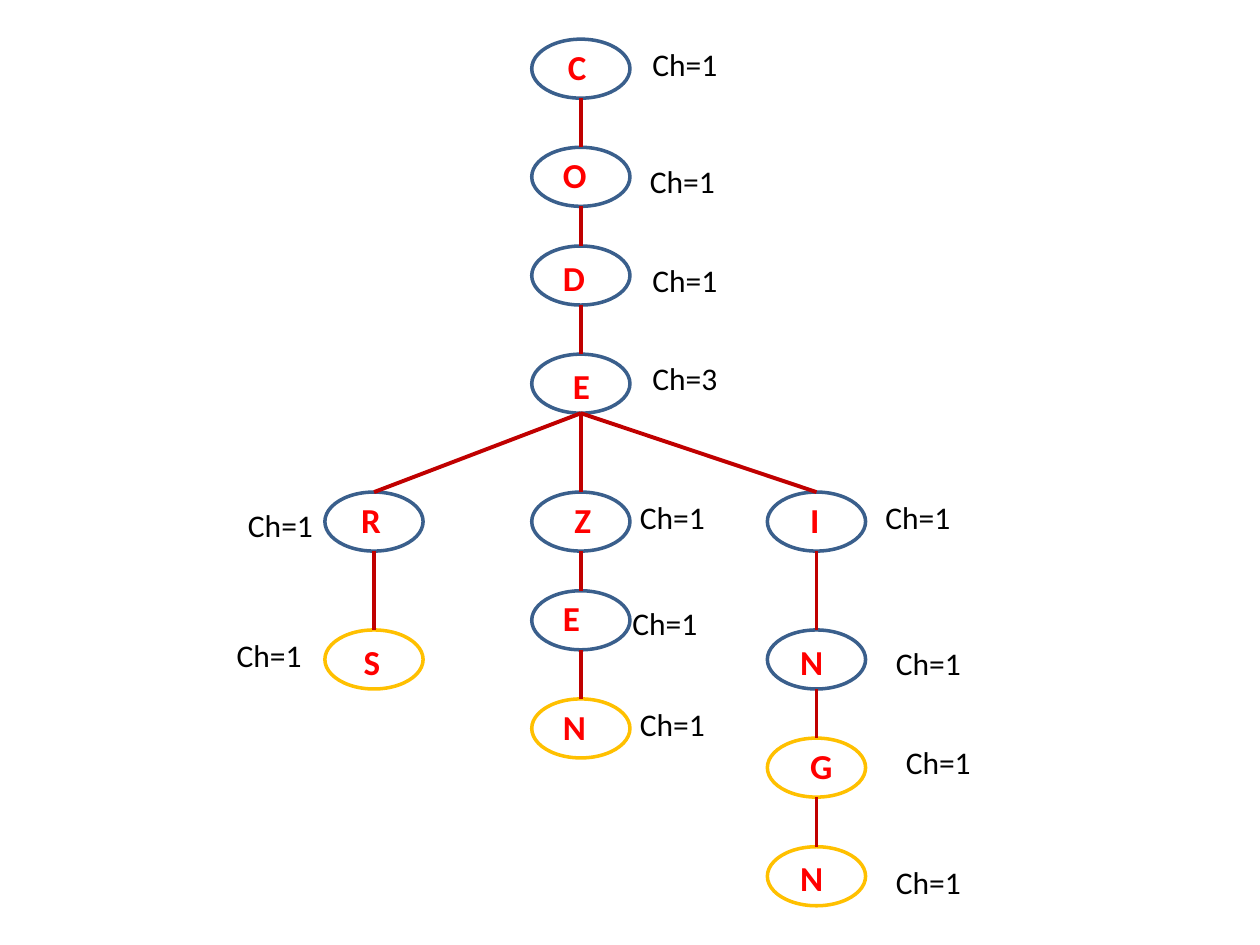
from lxml import etree
from pptx import Presentation
from pptx import util as u
from pptx.dml.color import RGBColor
from pptx.enum import shapes, text
from pptx.oxml.ns import qn

COLORS = {"node": "3A5F8C", "end": "FFC000", "edge": "C00000",
          "letter": "FF0000", "label": "000000"}
NODE_W, NODE_H = 1.98, 1.19
LEFT, MIDDLE, RIGHT = 6.55, 10.72, 15.47

# key: letter, parent, kind, x, y, letter (dx, dy, width), children, label (dx, dy)
NODES = {
    "c": ("C", None, "node", MIDDLE, 0.79, (0.48, 0, 0.89), 1, (2.18, 0)),
    "co": ("O", "c", "node", MIDDLE, 2.97, (0.38, 0, 0.99), 1, (2.13, 0.18)),
    "cod": ("D", "co", "node", MIDDLE, 4.96, (0.38, 0.08, 0.97), 1, (2.18, 0.18)),
    "code": ("E", "cod", "node", MIDDLE, 7.14, (0.58, 0.08, 0.86), 3, (2.18, -0.03)),
    "coder": ("R", "code", "node", LEFT, 9.92, (0.48, 0, 0.91), 1, (-1.8, 0.15)),
    "coders": ("S", "coder", "end", LEFT, 12.7, (0.53, 0.08, 0.86), 1, (-2.03, 0)),
    "codez": ("Z", "code", "node", MIDDLE, 9.92, (0.61, 0, 0.86), 1, (1.93, 0)),
    "codeze": ("E", "codez", "node", MIDDLE, 11.91, (0.38, 0, 0.86), 1, (1.78, 0.15)),
    "codezen": ("N", "codeze", "end", MIDDLE, 14.09, (0.38, 0, 0.99), 1, (1.93, 0)),
    "codei": ("I", "code", "node", RIGHT, 9.92, (0.61, 0, 0.71), 1, (2.13, 0)),
    "codein": ("N", "codei", "node", RIGHT, 12.7, (0.41, 0.08, 0.99), 1, (2.34, 0.15)),
    "codeing": ("G", "codein", "end", RIGHT, 14.88, (0.61, 0, 0.97), 1, (2.54, -0.03)),
    "codeingn": ("N", "codeing", "end", RIGHT, 17.07, (0.41, 0.08, 0.99), 1, (2.34, 0.2)),
}

prs = Presentation()
prs.slide_width, prs.slide_height = u.Cm(25.4), u.Cm(19.05)
s = prs.slides.add_slide(prs.slide_layouts[6])


def add_text(content, x, y, w, h, size, color, bold):
    tf = s.shapes.add_textbox(u.Cm(x), u.Cm(y), u.Cm(w), u.Cm(h)).text_frame
    tf.word_wrap = False
    tf.auto_size = text.MSO_AUTO_SIZE.SHAPE_TO_FIT_TEXT
    p = tf.paragraphs[0]
    p.text = content
    p.font.name = "Calibri"
    p.font.size = u.Pt(size)
    p.font.bold = bold
    p.font.color.rgb = RGBColor.from_string(COLORS[color])


for letter, parent, kind, x, y, (dx, dy, w), children, offset in NODES.values():
    sp = s.shapes.add_shape(shapes.MSO_SHAPE.OVAL, u.Cm(x), u.Cm(y),
                            u.Cm(NODE_W), u.Cm(NODE_H))
    sp.shadow.inherit = False
    sp.fill.background()
    sp.line.color.rgb = RGBColor.from_string(COLORS[kind])
    sp.line.width = u.Pt(2)
    add_text(letter, x + dx, y + dy, w, 1.12, 20, "letter", True)

for letter, parent, kind, x, y, place, children, offset in NODES.values():
    if parent:
        px, py = NODES[parent][3:5]
        line = s.shapes.add_connector(
            shapes.MSO_CONNECTOR.STRAIGHT,
            u.Cm(px + NODE_W / 2), u.Cm(py + NODE_H), u.Cm(x + NODE_W / 2), u.Cm(y))
        line.line.color.rgb = RGBColor.from_string(COLORS["edge"])
        line.line.width = u.Pt(2.25)
        etree.SubElement(line._element.spPr, qn("a:effectLst"))

for letter, parent, kind, x, y, place, children, (dx, dy) in NODES.values():
    add_text(f"Ch={children}", x + dx, y + dy, 1.83, 1.02, 18, "label", False)

prs.save("out.pptx")
